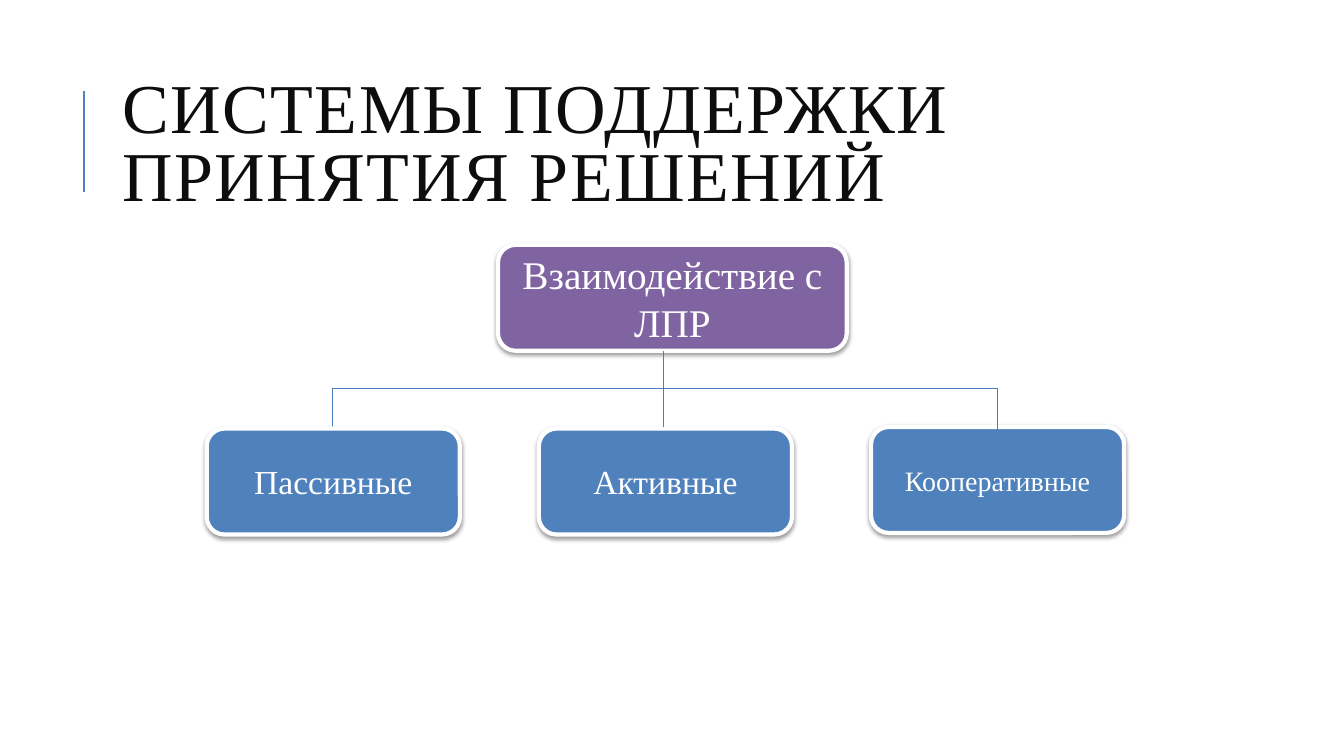
import pptx
import pptx.dml.color
import pptx.enum.shapes
import pptx.enum.text
import pptx.oxml
import pptx.oxml.ns
import pptx.util

Cm = pptx.util.Cm
Pt = pptx.util.Pt
RGBColor = pptx.dml.color.RGBColor

FONT = "Times New Roman"
WHITE = RGBColor(0xFF, 0xFF, 0xFF)
INK = RGBColor(0x0D, 0x0D, 0x0D)
BLUE = RGBColor(0x4F, 0x81, 0xBD)
LINE_BLUE = RGBColor(0x4B, 0x7E, 0xBC)
PURPLE = RGBColor(0x80, 0x64, 0xA2)

NAMESPACE = pptx.oxml.ns.nsdecls("a")
NO_EFFECT = f"<a:effectLst {NAMESPACE}/>"
SOFT_SHADOW = (
    f'<a:effectLst {NAMESPACE}><a:outerShdw blurRad="40000" dist="20000" '
    'dir="5400000" rotWithShape="0"><a:srgbClr val="000000">'
    '<a:alpha val="38000"/></a:srgbClr></a:outerShdw></a:effectLst>'
)


def set_font(para, size, color):
    para.font.name = FONT
    para.font.size = Pt(size)
    para.font.color.rgb = color


def add_line(page, x1, y1, x2, y2, color, width):
    line = page.shapes.add_connector(
        pptx.enum.shapes.MSO_CONNECTOR.STRAIGHT, Cm(x1), Cm(y1), Cm(x2), Cm(y2))
    line.line.color.rgb = color
    line.line.width = Pt(width)
    line._element.spPr.append(pptx.oxml.parse_xml(NO_EFFECT))


def add_node(page, text, left, top, width, size, fill):
    node = page.shapes.add_shape(
        pptx.enum.shapes.MSO_SHAPE.ROUNDED_RECTANGLE,
        Cm(left), Cm(top), Cm(width), Cm(2.67))
    node.fill.solid()
    node.fill.fore_color.rgb = fill
    node.line.color.rgb = WHITE
    node.line.width = Pt(3)
    node._element.spPr.append(pptx.oxml.parse_xml(SOFT_SHADOW))
    frame = node.text_frame
    frame.word_wrap = True
    frame.vertical_anchor = pptx.enum.text.MSO_ANCHOR.MIDDLE
    para = frame.paragraphs[0]
    para.text = text
    para.alignment = pptx.enum.text.PP_ALIGN.CENTER
    set_font(para, size, WHITE)


def add_heading(page, text, left, top, width, height):
    # Accent rule beside the title
    add_line(page, left - 0.73, top + 0.66, left - 0.73, top + 3.2, BLUE, 1.5)

    # Title
    title = page.shapes.title
    title.left, title.top = Cm(left), Cm(top)
    title.width, title.height = Cm(width), Cm(height)
    frame = title.text_frame
    frame.word_wrap = True
    frame.auto_size = pptx.enum.text.MSO_AUTO_SIZE.NONE
    frame.vertical_anchor = pptx.enum.text.MSO_ANCHOR.MIDDLE
    para = frame.paragraphs[0]
    span = para.add_run()
    span.text = text
    span._r.get_or_add_rPr().set("spc", "100")
    para.alignment = pptx.enum.text.PP_ALIGN.LEFT
    para.line_spacing = 0.8
    set_font(para, 50, INK)


def add_tree(page, left, top):
    leaf_width, pitch = 6.38, 8.37
    leaf_top = top + 4.63
    bar = top + 3.63
    trunk = left + 11.5
    first_drop, last_drop = left + 3.17, left + 19.94

    # Root and the leaves behind the connectors
    add_node(page, "Взаимодействие с ЛПР", left + 7.34, top, 8.79, 28, PURPLE)
    add_node(page, "Активные", left + pitch, leaf_top, leaf_width, 24, BLUE)
    add_node(page, "Кооперативные", left + 2 * pitch, leaf_top - 0.04,
             leaf_width, 20, BLUE)

    # Trunk, bar and outer drops
    for x1, y1, x2, y2 in (
        (trunk, top + 2.67, trunk, leaf_top - 0.03),
        (first_drop, bar, last_drop, bar),
        (first_drop, bar, first_drop, leaf_top + 0.25),
        (last_drop, bar, last_drop, leaf_top + 0.25),
    ):
        add_line(page, x1, y1, x2, y2, LINE_BLUE, 0.75)

    # Leaf in front of its connector
    add_node(page, "Пассивные", left, leaf_top, leaf_width, 24, BLUE)


def main():
    deck = pptx.Presentation()
    deck.slide_width, deck.slide_height = Cm(33.87), Cm(19.05)
    page = deck.slides.add_slide(deck.slide_layouts.get_by_name("Title Only"))
    add_heading(page, "СИСТЕМЫ ПОДДЕРЖКИ ПРИНЯТИЯ РЕШЕНИЙ", 2.84, 1.63, 27, 4.17)
    add_tree(page, 5.21, 6.17)
    deck.save("out.pptx")


if __name__ == "__main__":
    main()
